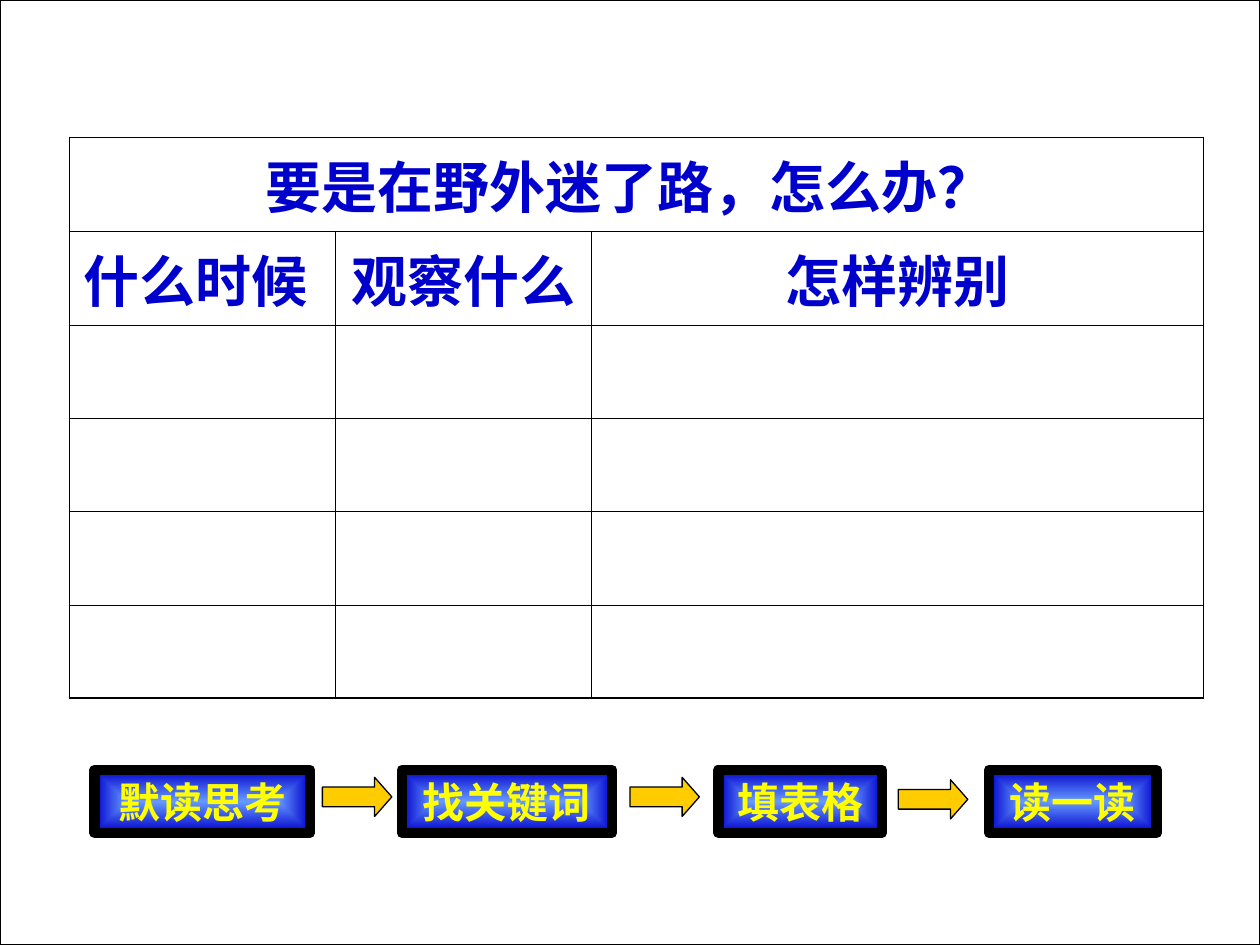
from lxml import etree
from pptx import Presentation
from pptx import util as u
from pptx.dml.color import RGBColor
from pptx.enum import shapes, text
from pptx.oxml import ns, parse_xml

QUESTION = "要是在野外迷了路，怎么办？ "
HEADINGS = ["什么时候 ", "观察什么", "怎样辨别"]
COLUMN_WIDTHS = [5.36, 5.16, 12.34]
ROW_COUNT, ROW_HEIGHT = 6, 1.88
TABLE_LEFT, TABLE_TOP = 1.4, 2.77
THICK, THIN = 1.08, 0.45

STEPS = [
    ("默读思考", 1.91, 4.34),
    ("找关键词", 8.1, 4.24),
    ("填表格", 14.48, 3.3),
    ("读一读", 19.94, 3.38),
]
STEP_TOP, STEP_HEIGHT = 15.52, 1.27
ARROWS = [(6.5, 15.67), (12.7, 15.67), (18.11, 15.72)]
ARROW_WIDTH, ARROW_HEIGHT = 1.4, 0.79

HEADING_STYLE = dict(size=32, font="Noto Sans CJK SC", color="0000CC")
STEP_STYLE = dict(size=24, font="Arial", color="FFFF00")


def rgb(value):
    return RGBColor.from_string(value)


def write(frame, content, size, font, color):
    paragraph = frame.paragraphs[0]
    paragraph.alignment = text.PP_ALIGN.CENTER
    run = paragraph.add_run()
    run.text = content
    run.font.size = u.Pt(size)
    run.font.bold = True
    run.font.name = font
    run.font.color.rgb = rgb(color)
    east_asian = etree.SubElement(run.font._element, ns.qn("a:ea"))
    east_asian.set("typeface", font)


def add_block(slide, preset, left, top, width, height, fill, line_width):
    block = slide.shapes.add_shape(
        preset, u.Cm(left), u.Cm(top), u.Cm(width), u.Cm(height))
    block.shadow.inherit = False
    block.fill.solid()
    block.fill.fore_color.rgb = rgb(fill)
    block.line.color.rgb = rgb("000000")
    block.line.width = u.Pt(line_width)
    return block


def glow(block, center, edge):
    gradient = parse_xml(
        f'<a:gradFill {ns.nsdecls("a")} rotWithShape="1"><a:gsLst>'
        f'<a:gs pos="0"><a:srgbClr val="{center}"/></a:gs>'
        f'<a:gs pos="100000"><a:srgbClr val="{edge}"/></a:gs></a:gsLst>'
        '<a:path path="rect"><a:fillToRect l="50000" t="50000" r="50000" b="50000"/>'
        '</a:path></a:gradFill>')
    properties = block._element.spPr
    properties.replace(properties.find(ns.qn("a:solidFill")), gradient)


def set_borders(cell, widths):
    properties = cell._tc.get_or_add_tcPr()
    for index, (side, width) in enumerate(widths.items()):
        properties.insert(index, parse_xml(
            f'<a:ln{side} {ns.nsdecls("a")} w="{int(u.Pt(width))}"><a:solidFill>'
            f'<a:srgbClr val="000000"/></a:solidFill></a:ln{side}>'))


def add_question_table(slide):
    last_row, last_column = ROW_COUNT - 1, len(COLUMN_WIDTHS) - 1
    table = slide.shapes.add_table(
        ROW_COUNT, len(COLUMN_WIDTHS), u.Cm(TABLE_LEFT), u.Cm(TABLE_TOP),
        u.Cm(sum(COLUMN_WIDTHS)), u.Cm(ROW_COUNT * ROW_HEIGHT)).table
    table.first_row = table.horz_banding = False
    for column, width in zip(table.columns, COLUMN_WIDTHS):
        column.width = u.Cm(width)
    for r, row in enumerate(table.rows):
        row.height = u.Cm(ROW_HEIGHT)
        for c, cell in enumerate(row.cells):
            cell.fill.solid()
            cell.fill.fore_color.rgb = rgb("FFFFFF")
            set_borders(cell, {
                "L": THICK if c == 0 else THIN,
                "R": THICK if c == last_column else THIN,
                "T": THICK if r == 0 else THIN,
                "B": THICK if r == last_row else THIN,
            })
    table.cell(0, 0).merge(table.cell(0, last_column))
    write(table.cell(0, 0).text_frame, QUESTION, **HEADING_STYLE)
    for c, heading in enumerate(HEADINGS):
        write(table.cell(1, c).text_frame, heading, **HEADING_STYLE)


def main():
    deck = Presentation()
    deck.slide_width, deck.slide_height = u.Cm(25.4), u.Cm(19.05)
    slide = deck.slides.add_slide(deck.slide_layouts[6])

    backdrop = add_block(
        slide, shapes.MSO_SHAPE.RECTANGLE, 0, 0, 25.4, 19.05, "FFFFFF", 0.75)
    white = backdrop._element.spPr.find(ns.qn("a:solidFill"))[0]
    etree.SubElement(white, ns.qn("a:alpha")).set("val", "50000")

    add_question_table(slide)

    for label, left, width in STEPS:
        step = add_block(slide, shapes.MSO_SHAPE.RECTANGLE, left, STEP_TOP,
                         width, STEP_HEIGHT, "0000CC", 6)
        glow(step, center="6699FF", edge="0000CC")
        step.text_frame.vertical_anchor = text.MSO_ANCHOR.MIDDLE
        write(step.text_frame, label, **STEP_STYLE)

    for left, top in ARROWS:
        arrow = add_block(slide, shapes.MSO_SHAPE.RIGHT_ARROW, left, top,
                          ARROW_WIDTH, ARROW_HEIGHT, "FFCC00", 0.75)
        arrow.adjustments[1] = 0.44

    deck.save("out.pptx")


if __name__ == "__main__":
    main()
